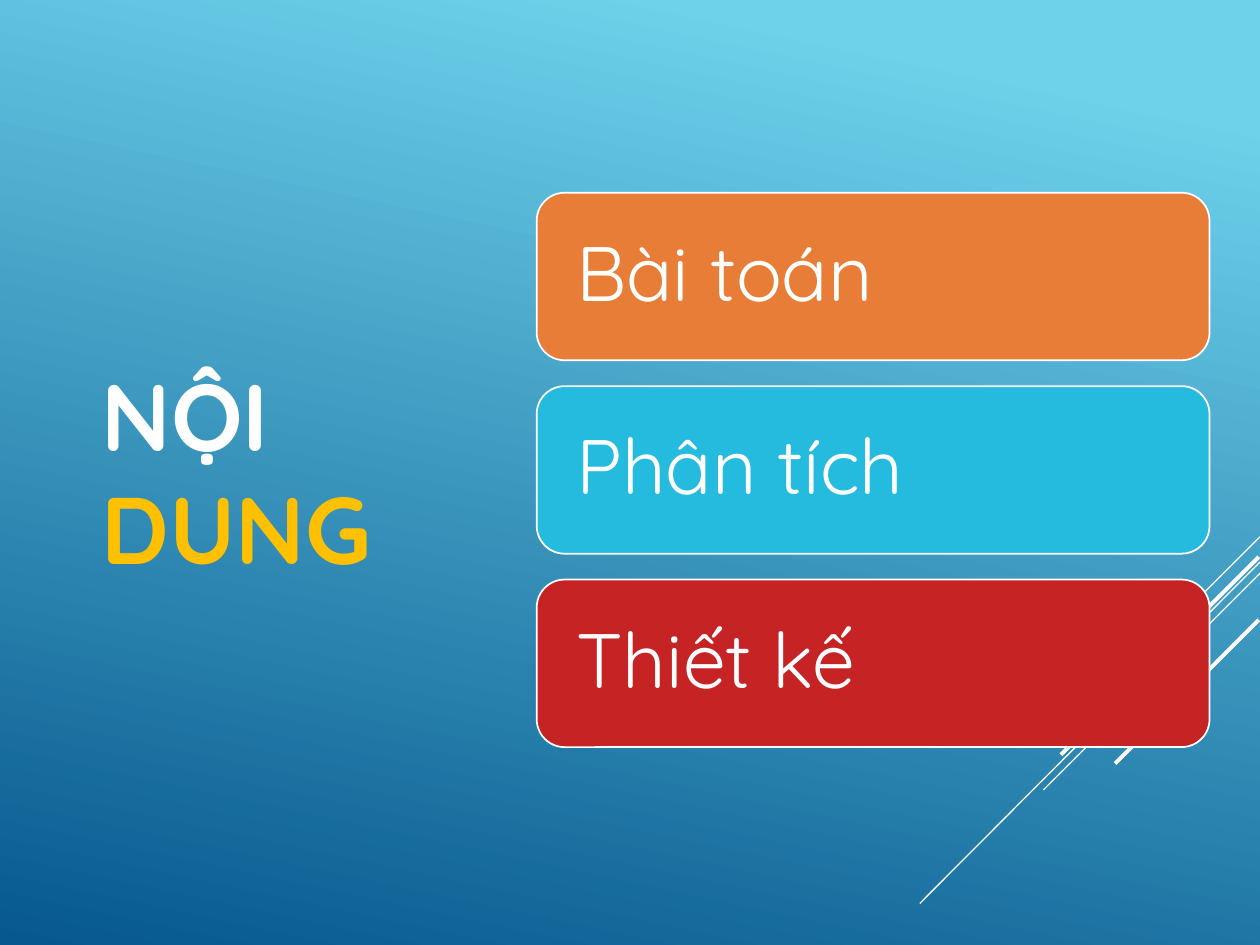
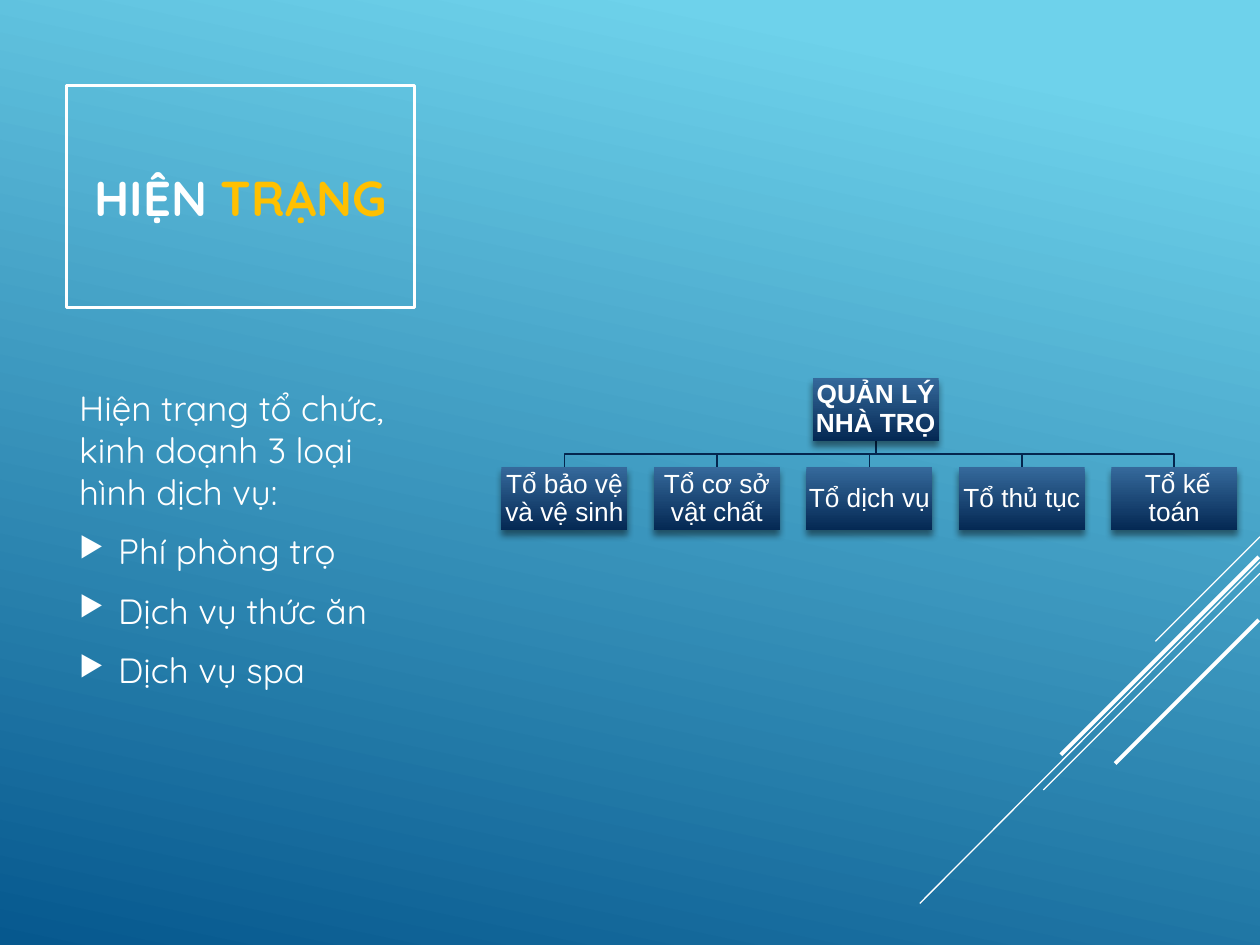
"""Build a two-slide deck: the contents list and the organisation overview."""
from lxml import etree
from pptx import Presentation
from pptx.dml.color import RGBColor
from pptx.enum.shapes import MSO_CONNECTOR, MSO_SHAPE
from pptx.enum.text import MSO_ANCHOR, PP_ALIGN
from pptx.oxml.ns import qn
from pptx.util import Inches, Pt

STRAIGHT = MSO_CONNECTOR.STRAIGHT
RECTANGLE = MSO_SHAPE.RECTANGLE
ROUNDED = MSO_SHAPE.ROUNDED_RECTANGLE
MIDDLE = MSO_ANCHOR.MIDDLE
LEFT, CENTER = PP_ALIGN.LEFT, PP_ALIGN.CENTER

COLOURS = {
    "white": "FFFFFF", "gold": "FFC000",
    "sky": "6ED2EB", "ocean": "06588E",
    "orange": "E87D37", "cyan": "25BBDF", "red": "C62324",
    "node_top": "35699B", "node_bottom": "042853", "branch": "04264E",
    "shadow": "000000",
}
STREAKS = [
    (10, 4.26, 9.17, 5.09, 0.75),
    (10, 4.46, 7.3, 7.17, 0.75),
    (10, 4.55, 8.28, 6.27, 0.75),
    (9.99, 4.42, 8.42, 5.99, 2.25),
    (9.99, 4.92, 8.85, 6.06, 2.25),
]
TOPICS = [("Bài toán", "orange"), ("Phân tích", "cyan"), ("Thiết kế", "red")]
INTRO = "Hiện trạng tổ chức, kinh doạnh 3 loại hình dịch vụ:"
SERVICES = ["Phí phòng trọ", "Dịch vụ thức ăn", "Dịch vụ spa"]
MANAGER = "QUẢN LÝ NHÀ TRỌ"
TEAMS = ["Tổ bảo vệ và vệ sinh", "Tổ cơ sở vật chất", "Tổ dịch vụ",
         "Tổ thủ tục", " Tổ kế toán"]
TITLE_FONT = {"name": "Quicksand", "bold": True}
BODY_FONT = {"name": "Quicksand", "size": Pt(20)}
TOPIC_FONT = {"name": "Quicksand", "size": Pt(44)}
NODE_FONT = {"name": "Arial", "size": Pt(15)}
NODE_WIDTH, NODE_HEIGHT = 1, 0.5


def colour(name):
    """Return the named colour."""
    return RGBColor.from_string(COLOURS[name])


def set_values(target, values):
    """Set each attribute of the target from a dict."""
    for name, value in values.items():
        setattr(target, name, value)


def set_gradient(fill, stops, angle):
    """Fill with a two-stop gradient at a clockwise angle."""
    fill.gradient()
    fill.gradient_angle = (360 - angle) % 360
    for stop, (position, name) in zip(fill.gradient_stops, stops):
        stop.position = position
        stop.color.rgb = colour(name)


def set_line(line, name, width):
    """Give a line its colour and its width in points."""
    line.fill.solid()
    line.fill.fore_color.rgb = colour(name)
    line.width = Pt(width)


def set_frame(frame, inset=None):
    """Wrap and centre a text frame vertically, with an optional equal inset."""
    set_values(frame, {"word_wrap": True, "vertical_anchor": MIDDLE})
    if inset is not None:
        sides = ("left", "top", "right", "bottom")
        set_values(frame, {f"margin_{side}": Inches(inset) for side in sides})


def write(para, text, font, name="white"):
    """Add one formatted span to a paragraph."""
    span = para.add_run()
    span.text = text
    set_values(span.font, font)
    span.font.color.rgb = colour(name)


def add_box(page, kind, left, top, width, height):
    """Add a plain preset shape without fill, line or shadow."""
    box = page.shapes.add_shape(
        kind, Inches(left), Inches(top), Inches(width), Inches(height))
    box.shadow.inherit = False
    box.fill.background()
    box.line.fill.background()
    return box


def add_text(page, left, top, width, height):
    """Add a text box and return its frame."""
    frame = page.shapes.add_textbox(
        Inches(left), Inches(top), Inches(width), Inches(height)).text_frame
    set_frame(frame)
    return frame


def add_streak(page, left, top, right, bottom, width):
    """Add one diagonal decorative line."""
    streak = page.shapes.add_connector(
        STRAIGHT, Inches(left), Inches(top), Inches(right), Inches(bottom))
    set_line(streak.line, "white", width)
    etree.SubElement(streak._element.spPr, qn("a:effectLst"))


def add_page(deck):
    """Add a blank slide with the shared background and streaks."""
    page = deck.slides.add_slide(deck.slide_layouts[6])
    set_gradient(page.background.fill, [(0.1, "sky"), (1, "ocean")], 102)
    for streak in STREAKS:
        add_streak(page, *streak)
    return page


def write_title(para, first, second, size, broken=False):
    """Write a two-colour title, on two lines when broken."""
    font = {**TITLE_FONT, "size": Pt(size)}
    write(para, first, font)
    if broken:
        para.add_line_break()
    write(para, second, font, "gold")


def add_topic(page, row, text, fill):
    """Add one rounded topic card in its row."""
    card = add_box(page, ROUNDED, 4.26, 1.53 + row * 1.535, 5.34, 1.33)
    card.fill.solid()
    card.fill.fore_color.rgb = colour(fill)
    set_line(card.line, "white", 1)
    set_frame(card.text_frame, 0.25)
    para = card.text_frame.paragraphs[0]
    set_values(para, {"alignment": LEFT, "line_spacing": 0.9})
    write(para, text, TOPIC_FONT)


def add_bullet(para):
    """Give a paragraph a hanging triangle bullet."""
    props = para._p.get_or_add_pPr()
    props.set("marL", str(Inches(0.31)))
    props.set("indent", str(-Inches(0.31)))
    tint = etree.SubElement(props, qn("a:buClr"))
    etree.SubElement(tint, qn("a:srgbClr"), val=COLOURS["white"])
    etree.SubElement(props, qn("a:buSzPct"), val="80000")
    etree.SubElement(props, qn("a:buChar"), char="▶")


def add_services(page):
    """Add the introduction and the bulleted services."""
    frame = add_text(page, 0.53, 2.88, 2.76, 3.74)
    frame.margin_bottom = Inches(1)
    for index, text in enumerate([INTRO, *SERVICES]):
        para = frame.add_paragraph() if index else frame.paragraphs[0]
        set_values(para, {"space_before": Pt(4), "space_after": Pt(6)})
        if index:
            add_bullet(para)
        write(para, text, BODY_FONT)


def add_shadow(box):
    """Give a shape a soft shadow below it."""
    effects = box._element.spPr.find(qn("a:effectLst"))
    shadow = etree.SubElement(
        effects, qn("a:outerShdw"), blurRad=str(Pt(4)), dist=str(Pt(3)),
        dir="5400000", rotWithShape="0")
    tint = etree.SubElement(shadow, qn("a:srgbClr"), val=COLOURS["shadow"])
    etree.SubElement(tint, qn("a:alpha"), val="46000")


def add_node(page, left, top, text, bold=False):
    """Add one box of the organisation chart."""
    node = add_box(page, RECTANGLE, left, top, NODE_WIDTH, NODE_HEIGHT)
    set_gradient(node.fill, [(0, "node_top"), (1, "node_bottom")], 90)
    add_shadow(node)
    set_frame(node.text_frame, 0.01)
    para = node.text_frame.paragraphs[0]
    set_values(para, {"alignment": CENTER, "line_spacing": 0.9})
    write(para, text, {**NODE_FONT, "bold": bold})


def add_branch(page, start, end):
    """Join two points with an elbow that turns halfway down."""
    (left, top), (right, bottom) = start, end
    middle = (top + bottom) / 2
    points = [(left, middle), (right, middle), (right, bottom)]
    builder = page.shapes.build_freeform(Inches(left), Inches(top))
    builder.add_line_segments(
        [(Inches(x), Inches(y)) for x, y in points], close=False)
    branch = builder.convert_to_shape()
    branch.shadow.inherit = False
    branch.fill.background()
    set_line(branch.line, "branch", 1)


def add_organisation(page):
    """Add the manager, the teams and the branches between them."""
    manager_left, manager_top, team_top = 6.45, 3, 3.71
    lefts = [3.98 + 1.21 * column for column in range(len(TEAMS))]
    half = NODE_WIDTH / 2
    start = (manager_left + half, manager_top + NODE_HEIGHT)
    for left in lefts:
        add_branch(page, start, (left + half, team_top))
    add_node(page, manager_left, manager_top, MANAGER, bold=True)
    for left, team in zip(lefts, TEAMS):
        add_node(page, left, team_top, team)


def build_contents(deck):
    """Build the contents slide."""
    page = add_page(deck)
    frame = add_text(page, 0.71, 1.11, 2.8, 5.24)
    write_title(frame.paragraphs[0], "NỘI", "DUNG", 54, broken=True)
    for row, (text, fill) in enumerate(TOPICS):
        add_topic(page, row, text, fill)


def build_overview(deck):
    """Build the slide on the current organisation."""
    page = add_page(deck)
    box = add_box(page, RECTANGLE, 0.53, 0.68, 2.76, 1.76)
    set_line(box.line, "white", 1.5)
    set_frame(box.text_frame)
    para = box.text_frame.paragraphs[0]
    para.alignment = CENTER
    write_title(para, "HIỆN ", "TRẠNG", 28)
    add_services(page)
    add_organisation(page)


def main():
    """Build and save the deck."""
    deck = Presentation()
    set_values(deck, {"slide_width": Inches(10), "slide_height": Inches(7.5)})
    build_contents(deck)
    build_overview(deck)
    deck.save("out.pptx")


if __name__ == "__main__":
    main()
